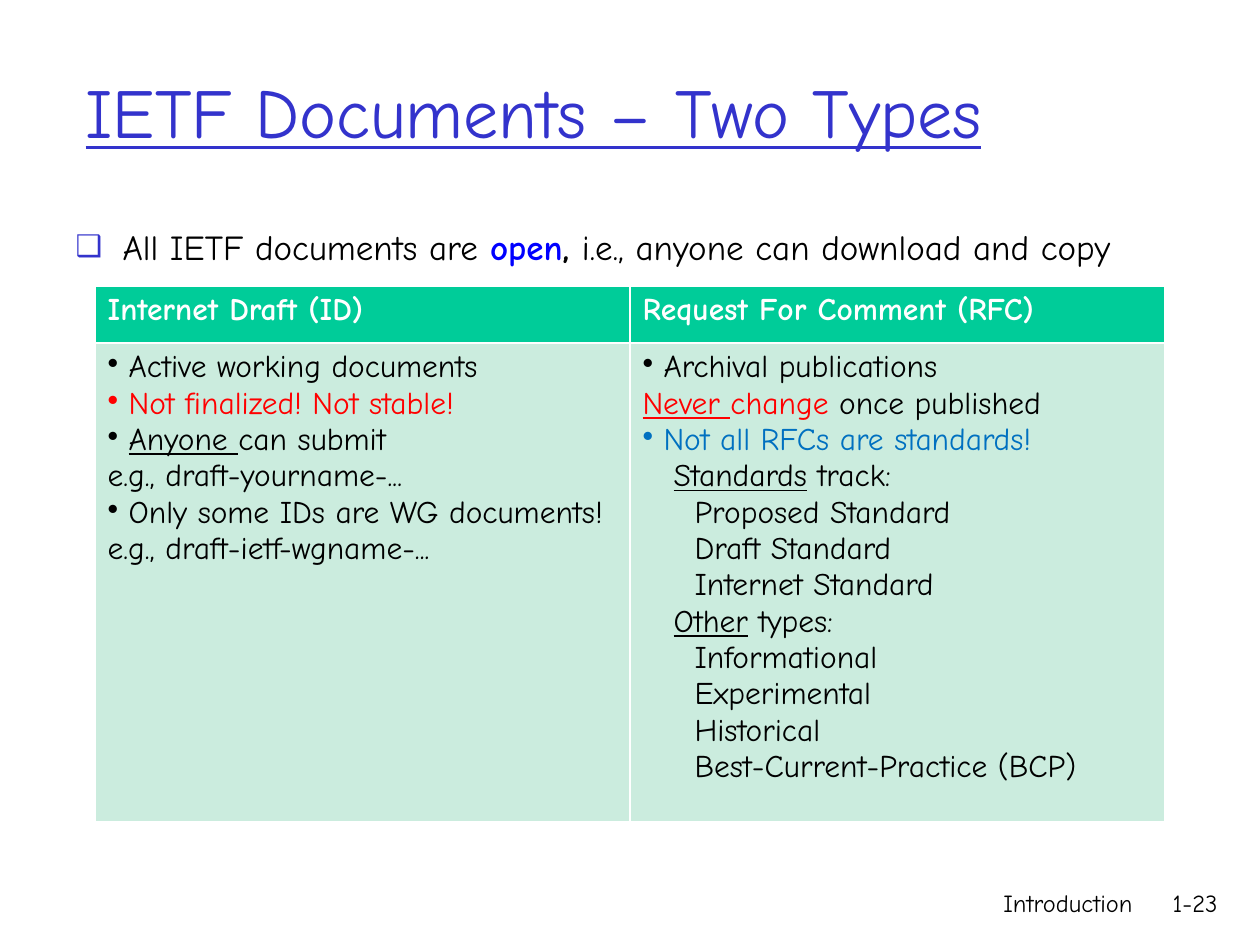
"""Build the slide comparing the two types of IETF documents."""
from lxml.etree import SubElement
from pptx import Presentation
from pptx.dml.color import RGBColor
from pptx.enum.text import MSO_ANCHOR as Anchor, MSO_AUTO_SIZE as AutoSize, PP_ALIGN as Align
from pptx.oxml.ns import qn
from pptx.util import Emu, Pt

FONT = "Comic Neue"
BLACK = RGBColor(0x00, 0x00, 0x00)
WHITE = RGBColor(0xFF, 0xFF, 0xFF)
INDIGO = RGBColor(0x33, 0x33, 0xCC)
BLUE = RGBColor(0x00, 0x00, 0xFF)
RED = RGBColor(0xFF, 0x00, 0x00)
SKY = RGBColor(0x00, 0x70, 0xC0)
GREEN = RGBColor(0x00, 0xCC, 0x99)
MINT = RGBColor(0xCB, 0xEC, 0xDE)


def px(length):
    return Emu(round(length * 914400 / 126))


def write(para, spans, size, color=BLACK, bullet=None, margin=0, hang=0):
    properties = para._p.get_or_add_pPr()
    properties.set("marL", str(px(margin)))
    properties.set("indent", str(px(-hang)))
    if bullet == "❑":
        tint = SubElement(properties, qn("a:buClr"))
        SubElement(tint, qn("a:srgbClr"), val=str(INDIGO))
        SubElement(properties, qn("a:buSzPct"), val="85000")
    if bullet:
        SubElement(properties, qn("a:buChar"), char=bullet)
    else:
        SubElement(properties, qn("a:buNone"))
    para.font.name, para.font.size, para.font.color.rgb = FONT, Pt(size), color
    for text, style in spans:
        span = para.add_run()
        span.text = text
        if "color" in style:
            span.font.color.rgb = style["color"]
        if "bold" in style:
            span.font.bold = True
        if "underline" in style:
            span.font.underline = True


deck = Presentation()
deck.slide_width, deck.slide_height = px(1260), px(945)
page = deck.slides.add_slide(deck.slide_layouts[1])

title, body = page.placeholders
title.left, title.top, title.width, title.height = px(73), px(32), px(1071), px(158)
title.text_frame.vertical_anchor = Anchor.MIDDLE
title.text_frame.auto_size = AutoSize.NONE
heading = title.text_frame.paragraphs[0]
heading.alignment = Align.LEFT
write(heading, [("IETF Documents – Two Types", {"underline": True})], 40, INDIGO)

body.left, body.top, body.width, body.height = px(63), px(219), px(1134), px(67)
body.text_frame.auto_size = AutoSize.NONE
statement = body.text_frame.paragraphs[0]
statement.space_before = Pt(0)
write(statement, [
    ("All IETF documents are ", {}),
    ("open", {"color": BLUE, "bold": True}),
    (", ", {"bold": True}),
    ("i.e., anyone can download and copy", {}),
], 20, bullet="❑", margin=47, hang=47)

PLAIN = {}
ITEM = {"bullet": "•", "margin": 21, "hang": 21}
TRACK = {"margin": 31}
STAGE = {"margin": 52}
columns = [
    ("Internet Draft (ID)", [
        (ITEM, [("Active working documents", {})]),
        (ITEM, [("Not finalized! Not stable!", {"color": RED})]),
        (ITEM, [("Anyone ", {"underline": True}), ("can submit", {})]),
        (PLAIN, [("e.g., draft-yourname-...", {})]),
        (ITEM, [("Only some IDs are WG documents!", {})]),
        (PLAIN, [("e.g., draft-ietf-wgname-...", {})]),
    ]),
    ("Request For Comment (RFC)", [
        (ITEM, [("Archival publications", {})]),
        (PLAIN, [("Never ", {"color": RED, "underline": True}),
                 ("change ", {"color": RED}), ("once published", {})]),
        (ITEM, [("Not all RFCs are standards!", {"color": SKY})]),
        (TRACK, [("Standards", {"underline": True}), (" track:", {})]),
        (STAGE, [("Proposed Standard", {})]),
        (STAGE, [("Draft Standard", {})]),
        (STAGE, [("Internet Standard", {})]),
        (TRACK, [("Other", {"underline": True}), (" types:", {})]),
        (STAGE, [("Informational", {})]),
        (STAGE, [("Experimental", {})]),
        (STAGE, [("Historical", {})]),
        (STAGE, [("Best-Current-Practice (BCP)", {})]),
    ]),
]

table = page.shapes.add_table(2, 2, px(95), px(286), px(1070), px(536)).table
table.rows[0].height, table.rows[1].height = px(57), px(479)
for index, (name, lines) in enumerate(columns):
    table.columns[index].width = px(535)
    header, details = table.cell(0, index), table.cell(1, index)
    for cell, color in ((header, GREEN), (details, MINT)):
        cell.fill.solid()
        cell.fill.fore_color.rgb = color
    write(header.text_frame.paragraphs[0], [(name, {"bold": True})], 18, WHITE)
    for row, (layout, spans) in enumerate(lines):
        frame = details.text_frame
        para = frame.add_paragraph() if row else frame.paragraphs[0]
        write(para, spans, 18, **layout)

for left, width, text in ((746, 399, "Introduction"), (1144, 86, "1-23")):
    box = page.shapes.add_textbox(px(left), px(882), px(width), px(63))
    box.text_frame.word_wrap = True
    label = box.text_frame.paragraphs[0]
    label.alignment = Align.RIGHT
    write(label, [(text, {})], 14)

deck.save("out.pptx")
